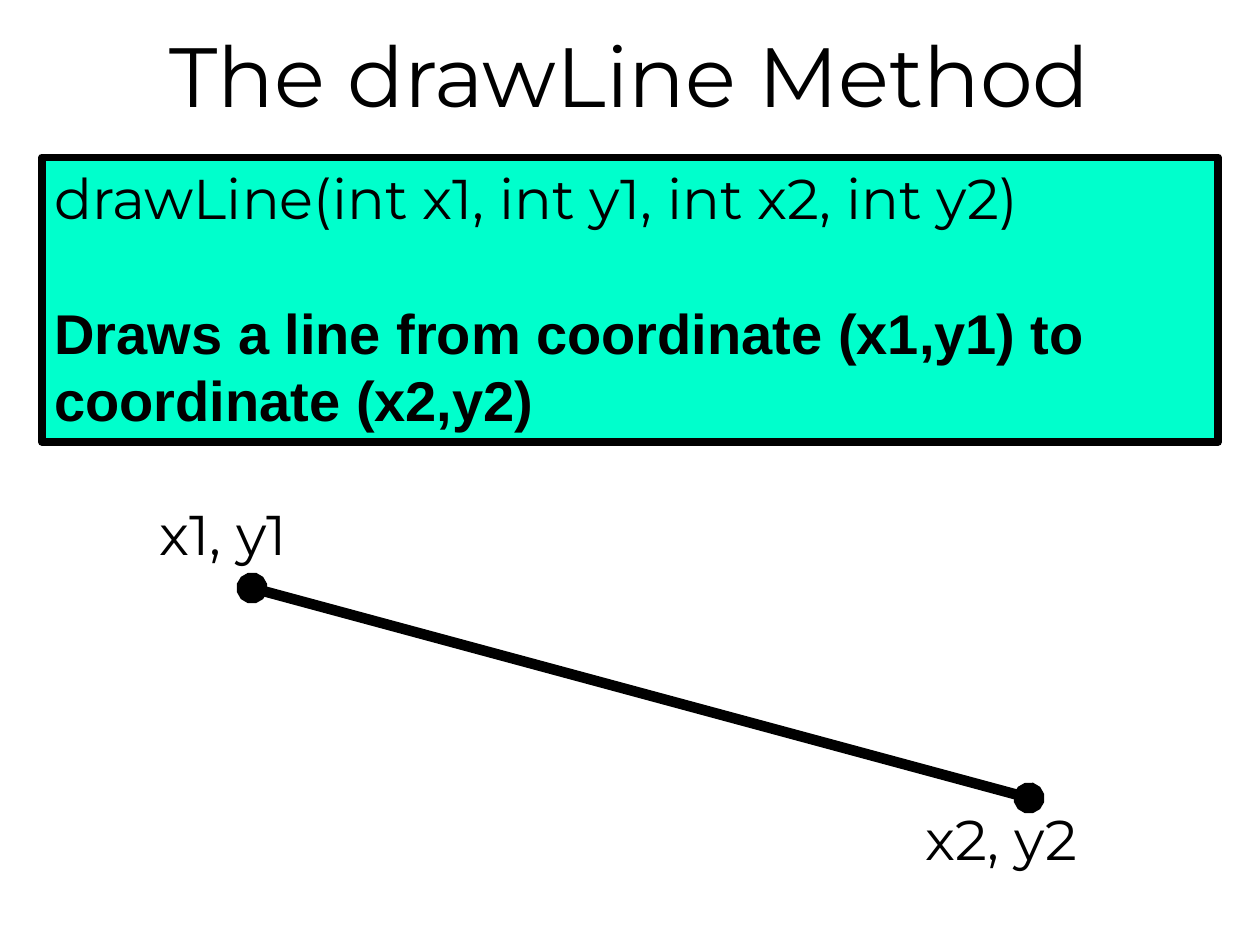
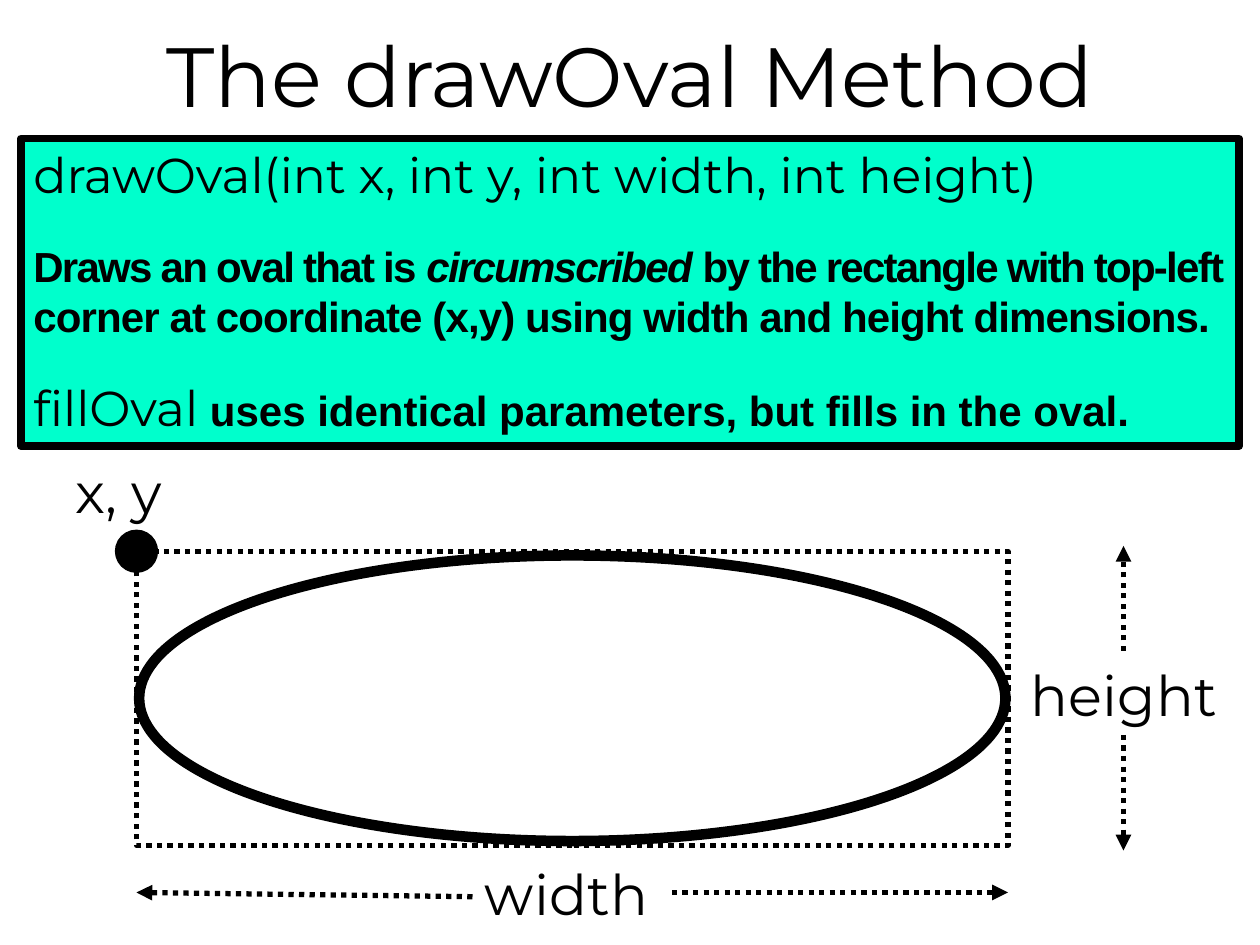
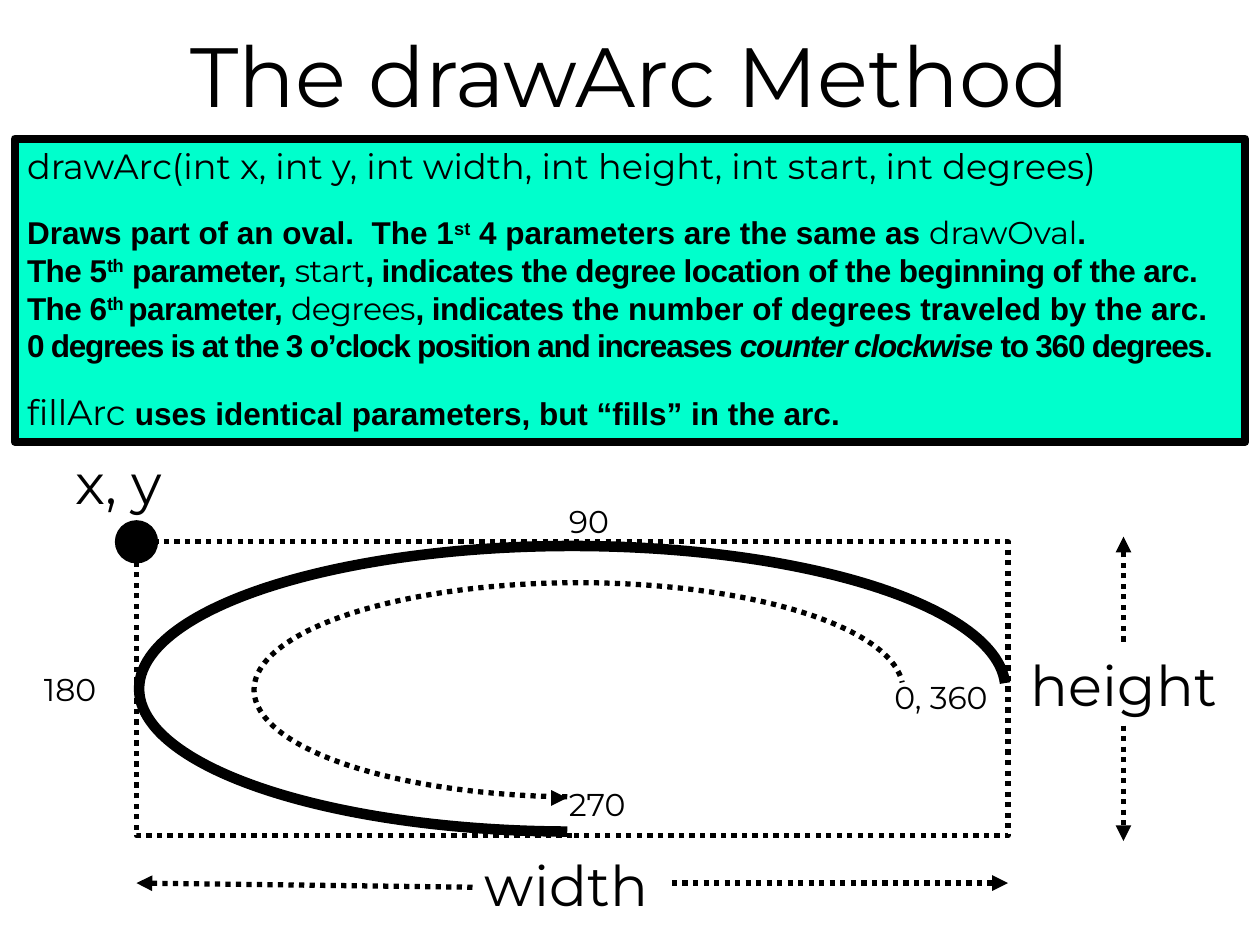
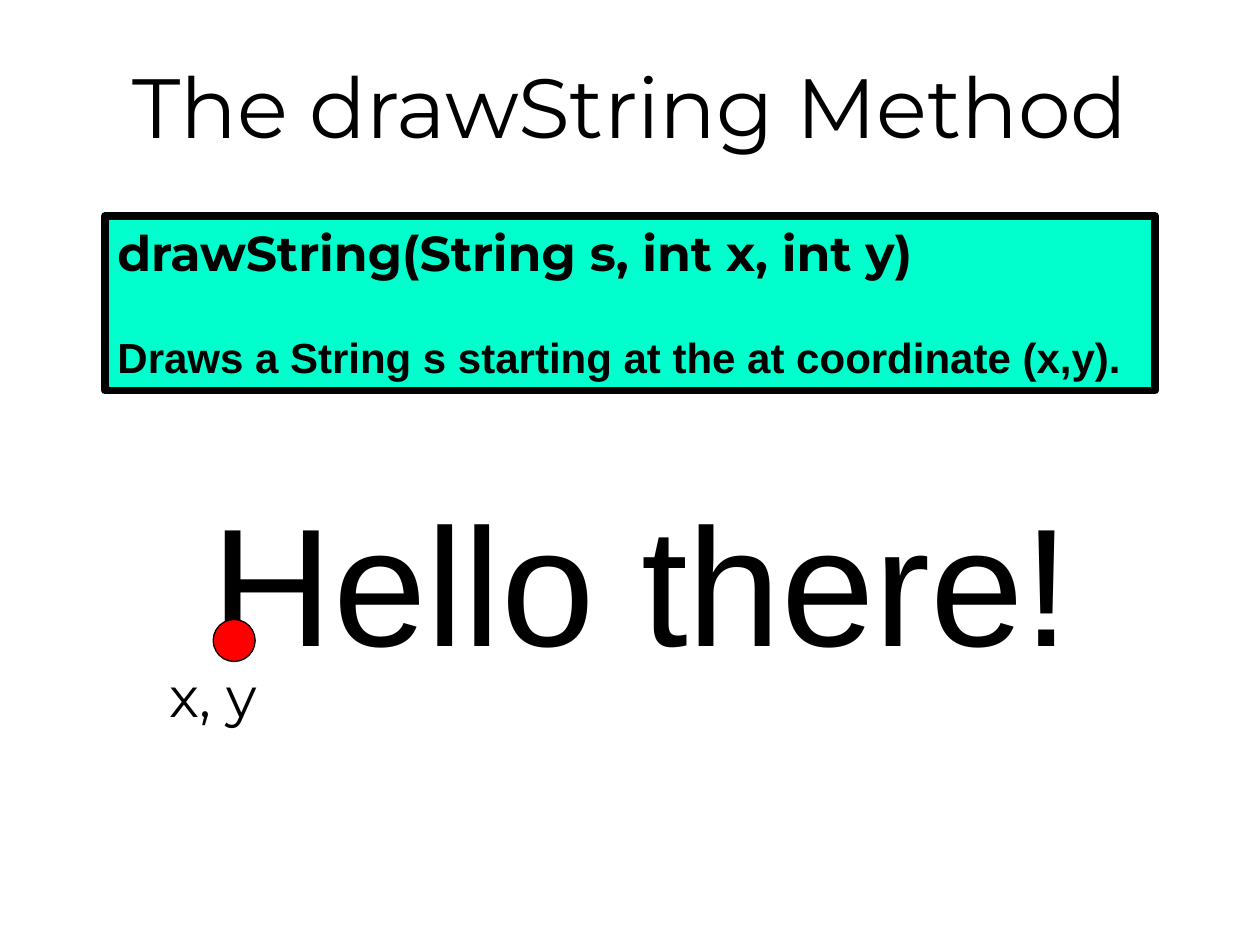
from dataclasses import dataclass
from typing import Optional

from lxml.etree import SubElement
from pptx import Presentation
from pptx.dml.color import RGBColor
from pptx.enum.dml import MSO_LINE
from pptx.enum.shapes import MSO_CONNECTOR, MSO_SHAPE
from pptx.enum.text import MSO_ANCHOR, PP_ALIGN
from pptx.oxml.ns import qn
from pptx.util import Inches, Pt

# Grid: 120 columns by 90 rows of square cells
COLS, ROWS = 120, 90
CELL = Inches(10) // COLS

BLACK = RGBColor(0x00, 0x00, 0x00)
MINT = RGBColor(0x00, 0xFF, 0xCC)
RED = RGBColor(0xFF, 0x00, 0x00)
CODE, PROSE = "Montserrat", "Arial"
LEADING = 1.2


@dataclass(frozen=True)
class Box:
    """A place on the grid, in cells."""
    x: float
    y: float
    w: float
    h: float

    def emu(self) -> list[int]:
        return [cells(v) for v in (self.x, self.y, self.w, self.h)]


@dataclass(frozen=True)
class Run:
    text: str
    size: float
    font: str = CODE
    bold: bool = False
    italic: bool = False
    spacing: float = 0
    raised: bool = False


@dataclass(frozen=True)
class Para:
    runs: list[Run]
    before: float = 0


@dataclass(frozen=True)
class Label:
    text: str
    box: Box
    size: float = 32
    font: str = CODE


def cells(n: float) -> int:
    return round(n * CELL)


def prose(text: str, size: float, spacing: float = 0, italic: bool = False,
          raised: bool = False) -> Run:
    return Run(text, size, PROSE, True, italic, spacing, raised)


def write(tf, paras: list[Para], align=PP_ALIGN.LEFT) -> None:
    tf.word_wrap = True
    for i, para in enumerate(paras):
        p = tf.paragraphs[0] if i == 0 else tf.add_paragraph()
        p.alignment = align
        p.space_before = Pt(para.before)
        p.line_spacing = Pt(LEADING * max(run.size for run in para.runs))
        for run in para.runs:
            r = p.add_run()
            r.text = run.text
            r.font.name, r.font.size = run.font, Pt(run.size)
            r.font.bold, r.font.italic = run.bold, run.italic
            r.font.color.rgb = BLACK
            rPr = r.font._element
            if run.spacing:
                rPr.set("spc", str(round(run.spacing * 100)))
            if run.raised:
                rPr.set("baseline", "30000")


def add_label(slide, label: Label) -> None:
    sp = slide.shapes.add_textbox(*label.box.emu())
    write(sp.text_frame, [Para([Run(label.text, label.size, label.font)])])


def add_title(slide, text: str, height: float) -> None:
    sp = slide.shapes.add_textbox(*Box(0, 0, COLS, height).emu())
    sp.text_frame.vertical_anchor = MSO_ANCHOR.MIDDLE
    write(sp.text_frame, [Para([Run(text, 48)])], PP_ALIGN.CENTER)


def add_outline(slide, kind, box: Box, width: float, dotted: bool = False,
                fill: Optional[RGBColor] = None):
    sp = slide.shapes.add_shape(kind, *box.emu())
    sp.shadow.inherit = False
    if fill is None:
        sp.fill.background()
    else:
        sp.fill.solid()
        sp.fill.fore_color.rgb = fill
    sp.line.color.rgb = BLACK
    sp.line.width = Pt(width)
    if dotted:
        sp.line.dash_style = MSO_LINE.ROUND_DOT
    return sp


def add_arc(slide, box: Box, start: float, end: float, width: float,
            dotted: bool = False) -> None:
    """Arc running clockwise between two angles in degrees."""
    sp = add_outline(slide, MSO_SHAPE.ARC, box, width, dotted)
    for i, angle in enumerate((start, end)):
        sp.adjustments[i] = angle * 0.6


def add_method_box(slide, box: Box, paras: list[Para]) -> None:
    sp = add_outline(slide, MSO_SHAPE.RECTANGLE, box, 4.5, fill=MINT)
    sp.text_frame.vertical_anchor = MSO_ANCHOR.TOP
    write(sp.text_frame, paras)


def add_dot(slide, box: Box, color: RGBColor = BLACK) -> None:
    add_outline(slide, MSO_SHAPE.OVAL, box, 0.75, fill=color)


def add_line(slide, start: tuple, end: tuple, width: float = 3,
             dotted: bool = True, head: str = "none",
             tail: str = "triangle") -> None:
    cxn = slide.shapes.add_connector(
        MSO_CONNECTOR.STRAIGHT, *map(cells, start + end))
    cxn.line.color.rgb = BLACK
    cxn.line.width = Pt(width)
    if dotted:
        cxn.line.dash_style = MSO_LINE.ROUND_DOT
    ln = cxn.line._get_or_add_ln()
    SubElement(ln, qn("a:headEnd"), type=head)
    SubElement(ln, qn("a:tailEnd"), type=tail)
    SubElement(cxn._element.spPr, qn("a:effectLst"))


def add_bounds(slide, top: float) -> Box:
    """Dotted rectangle with its dimensions; returns the inscribed oval's box."""
    frame = Box(13, top, 83, 28)
    add_outline(slide, MSO_SHAPE.RECTANGLE, frame, 3, dotted=True)
    add_dot(slide, Box(frame.x - 2, top - 2, 4, 4))
    for label in (Label("x, y", Box(6, top - 9.5, 16, 7.5)),
                  Label("width", Box(45, top + 28.8, 22, 7.5)),
                  Label("height", Box(97, top + 9.8, 22, 7.5))):
        add_label(slide, label)
    for start, end in (((64, 32.5), (96, 32.5)), ((45, 32.9), (13, 32.5)),
                       ((107, 9.5), (107, -0.5)), ((107, 17.5), (107, 28.5))):
        add_line(slide, (start[0], top + start[1]), (end[0], top + end[1]))
    return Box(frame.x + 0.25, top + 0.4, frame.w - 0.5, frame.h - 0.8)


def new_slide(prs, title: str, title_height: float = 14):
    slide = prs.slides.add_slide(prs.slide_layouts[6])
    add_title(slide, title, title_height)
    return slide


def line_slide(prs) -> None:
    s = new_slide(prs, "The drawLine Method")
    add_method_box(s, Box(4, 15, 112, 27.1), [
        Para([Run("drawLine(int x1, int y1, int x2, int y2)", 32)]),
        Para([prose("Draws a line from coordinate (x1,y1) to "
                    "coordinate (x2,y2)", 32)], before=38.4),
    ])
    add_line(s, (24, 56), (98, 76), 6, dotted=False, head="oval", tail="oval")
    add_label(s, Label("x1, y1", Box(14, 47, 22, 7.5)))
    add_label(s, Label("x2, y2", Box(87, 76, 22, 7.5)))


def oval_slide(prs) -> None:
    s = new_slide(prs, "The drawOval Method")
    add_method_box(s, Box(2, 13.2, 116, 29.3), [
        Para([Run("drawOval(int x, int y, int width, int height)", 28)]),
        Para([prose("Draws an oval that is ", 24, -1),
              prose("circumscribed", 24, -1, italic=True),
              prose(" by the rectangle with top-left ", 24, -1),
              prose("corner at coordinate (x,y) using width and height "
                    "dimensions.", 24, -0.5)], before=21),
        Para([Run("fillOval", 28),
              prose(" uses identical parameters, but fills in the oval.", 24)],
             before=21),
    ])
    add_outline(s, MSO_SHAPE.OVAL, add_bounds(s, 52.5), 6)


def arc_slide(prs) -> None:
    s = new_slide(prs, "The drawArc Method")
    add_method_box(s, Box(1.4, 13.2, 117.2, 28.9), [
        Para([Run("drawArc(int x, int y, int width, int height, "
                  "int start, int degrees)", 20)]),
        Para([prose("Draws part of an oval.  The 1", 18),
              prose("st", 18, raised=True),
              prose(" 4 parameters are the same as ", 18),
              Run("drawOval", 18), prose(".", 18)], before=15),
        Para([prose("The 5", 18, -0.3), prose("th", 18, -0.3, raised=True),
              prose(" parameter, ", 18, -0.3), Run("start", 18, spacing=-0.3),
              prose(", indicates the degree location of the beginning "
                    "of the arc.", 18, -0.3)]),
        Para([prose("The 6", 18, -0.3), prose("th ", 18, -0.3, raised=True),
              prose("parameter, ", 18, -0.3), Run("degrees", 18, spacing=-0.3),
              prose(", indicates ", 18, -0.3),
              prose("the number of degrees traveled by the arc.", 18)]),
        Para([prose("0 degrees is at the 3 o’clock position and increases ",
                    18, -0.7),
              prose("counter clockwise ", 18, -0.7, italic=True),
              prose("to 360 degrees.", 18, -0.7)]),
        Para([Run("fillArc ", 20),
              prose("uses identical parameters, but “fills” in the arc.", 18)],
             before=15),
    ])
    add_arc(s, add_bounds(s, 51.6), 92, 359.25, 6)

    # Direction of travel
    add_arc(s, Box(24.2, 55.5, 61.8, 20.4), 96, 358.7, 3, dotted=True)
    add_line(s, (53, 76), (54, 76), dotted=False)
    for text, x, y, w in (("0, 360", 84, 64, 14), ("90", 53, 47.2, 9),
                          ("180", 3, 63.2, 9), ("270", 53, 74.2, 9)):
        add_label(s, Label(text, Box(x, y, w, 4.8), 18))


def string_slide(prs) -> None:
    s = new_slide(prs, "The drawString Method", 20)
    add_method_box(s, Box(10, 20.6, 100, 16.6), [
        Para([Run("drawString(String s, int x, int y)", 28, bold=True)]),
        Para([prose("Draws a String s starting at the at coordinate (x,y).",
                    24)], before=28.8),
    ])
    add_label(s, Label("Hello there!", Box(19, 45, 88, 20.4), 96, PROSE))
    add_label(s, Label("x, y", Box(15, 62.4, 16, 7.5)))
    add_dot(s, Box(20.3, 59, 4, 4), RED)


prs = Presentation()
prs.slide_width, prs.slide_height = COLS * CELL, ROWS * CELL
for build in (line_slide, oval_slide, arc_slide, string_slide):
    build(prs)
prs.save("out.pptx")
